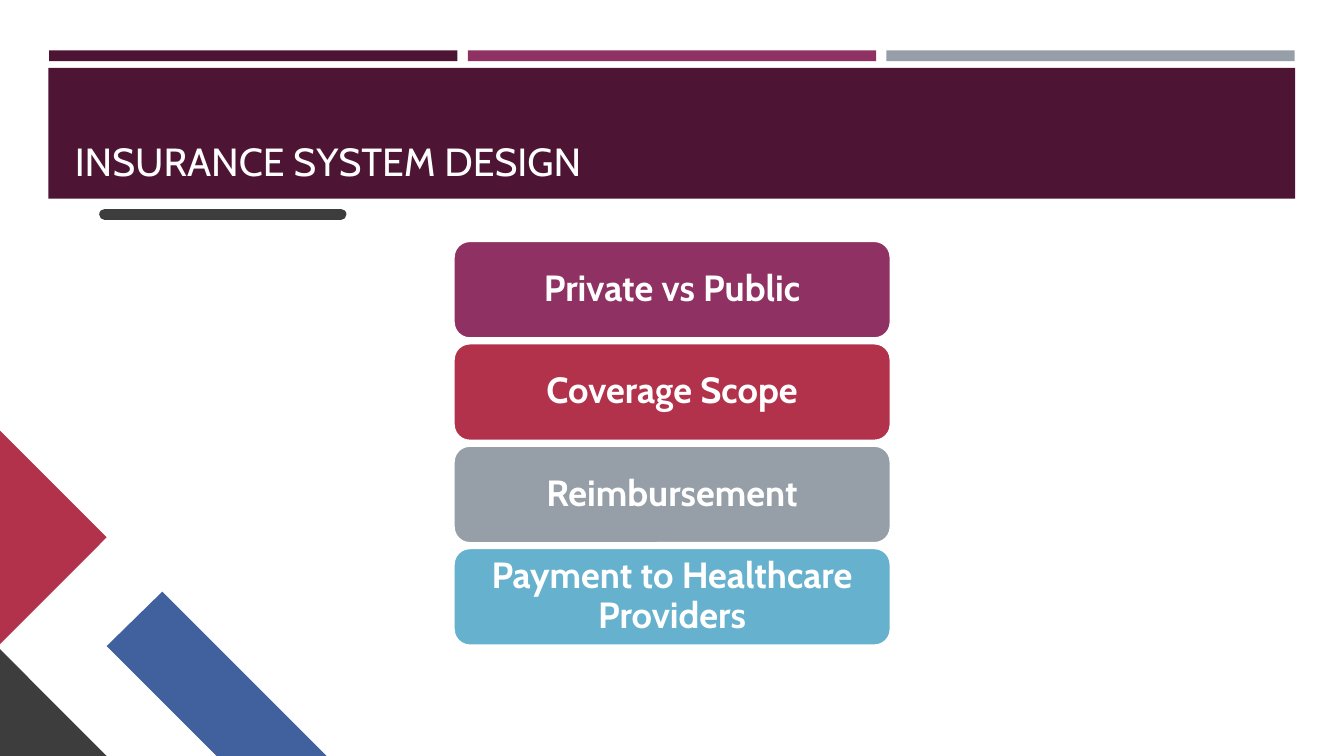
from dataclasses import dataclass

import pptx
import pptx.dml.color
import pptx.enum.shapes
import pptx.enum.text
import pptx.oxml
import pptx.oxml.ns
import pptx.util

Cm = pptx.util.Cm
Pt = pptx.util.Pt
PRESET = pptx.enum.shapes.MSO_SHAPE
ANCHOR = pptx.enum.text.MSO_ANCHOR
ALIGN = pptx.enum.text.PP_ALIGN


@dataclass(frozen=True)
class Theme:
    font: str = "Cabin"
    title_size: int = 28
    card_size: int = 26
    white: str = "FFFFFF"
    title_white: str = "FFFEFF"
    plum: str = "4D1434"
    magenta: str = "903163"
    red: str = "B2324B"
    grey: str = "969FA7"
    sky: str = "66B1CE"
    blue: str = "40619D"
    charcoal: str = "3D3D3D"


THEME = Theme()


def rgb(color):
    return pptx.dml.color.RGBColor.from_string(color)


def paint(shape, color):
    """Give a flat fill with no outline and no shadow."""
    shape.shadow.inherit = False
    shape.fill.solid()
    shape.fill.fore_color.rgb = rgb(color)
    shape.line.fill.background()


def add_block(slide, preset, left, top, width, height, color):
    block = slide.shapes.add_shape(preset, Cm(left), Cm(top), Cm(width), Cm(height))
    paint(block, color)
    return block


def add_polygon(slide, points, color):
    start, *rest = [(Cm(x), Cm(y)) for x, y in points]
    outline = slide.shapes.build_freeform(*start)
    outline.add_line_segments(rest, close=True)
    paint(outline.convert_to_shape(), color)


def add_round_rule(slide, left, right, y, color, weight):
    rule = slide.shapes.add_connector(
        pptx.enum.shapes.MSO_CONNECTOR.STRAIGHT, Cm(left), Cm(y), Cm(right), Cm(y))
    rule.line.color.rgb = rgb(color)
    rule.line.width = Pt(weight)
    properties = rule._element.spPr
    properties.find(pptx.oxml.ns.qn("a:ln")).set("cap", "rnd")
    properties.append(pptx.oxml.parse_xml(
        f'<a:effectLst {pptx.oxml.ns.nsdecls("a")}/>'))


def add_run(paragraph, text, size, color, bold=False):
    run = paragraph.add_run()
    run.text = text
    run.font.name = THEME.font
    run.font.size = Pt(size)
    run.font.bold = bold
    run.font.color.rgb = rgb(color)


def add_card(slide, top, label, color):
    card = add_block(slide, PRESET.ROUNDED_RECTANGLE, 11.43, top, 11.02, 2.46, color)
    card.line.color.rgb = rgb(THEME.white)
    card.line.width = Pt(1.75)
    frame = card.text_frame
    frame.word_wrap = True
    frame.vertical_anchor = ANCHOR.MIDDLE
    frame.margin_left = frame.margin_right = Cm(0.4)
    frame.margin_top = frame.margin_bottom = Cm(0.25)
    paragraph = frame.paragraphs[0]
    paragraph.alignment = ALIGN.CENTER
    paragraph.line_spacing = 0.9
    add_run(paragraph, label, THEME.card_size, THEME.white, bold=True)


def set_title(slide):
    title = slide.shapes.title
    title.left, title.top = Cm(1.63), Cm(1.96)
    title.width, title.height = Cm(30.63), Cm(2.82)
    title.text_frame.vertical_anchor = ANCHOR.BOTTOM
    title.text_frame.word_wrap = True
    paragraph = title.text_frame.paragraphs[0]
    paragraph.alignment = ALIGN.LEFT
    add_run(paragraph, "INSURANCE SYSTEM ", THEME.title_size, THEME.title_white)
    add_run(paragraph, "DESIGN", THEME.title_size, THEME.white)
    # The title must lie in front of the band.
    slide.shapes._spTree.append(title._element)


def add_corner_decoration(slide):
    add_polygon(slide, [(8.23, 19.05), (5.46, 19.05), (2.69, 16.28), (4.09, 14.91)],
                THEME.blue)
    add_polygon(slide, [(2.69, 19.05), (0, 19.05), (0, 16.36)], THEME.charcoal)
    add_polygon(slide, [(0, 10.85), (2.69, 13.54), (0, 16.23)], THEME.red)


def add_header(slide):
    for column, color in enumerate([THEME.plum, THEME.magenta, THEME.grey]):
        add_block(slide, PRESET.RECTANGLE, 1.24 + 10.55 * column, 1.27, 10.29, 0.27, color)
    add_block(slide, PRESET.RECTANGLE, 1.22, 1.71, 31.42, 3.3, THEME.plum)
    set_title(slide)


def main():
    deck = pptx.Presentation()
    deck.slide_width, deck.slide_height = Cm(33.87), Cm(19.05)
    slide = deck.slides.add_slide(deck.slide_layouts.get_by_name("Title Only"))

    add_corner_decoration(slide)
    add_round_rule(slide, 2.64, 8.59, 5.4, THEME.charcoal, 8)
    add_header(slide)

    topics = [
        ("Private vs Public", THEME.magenta),
        ("Coverage Scope", THEME.red),
        ("Reimbursement", THEME.grey),
        ("Payment to Healthcare Providers", THEME.sky),
    ]
    for row, (label, color) in enumerate(topics):
        add_card(slide, 6.07 + 2.58 * row, label, color)

    deck.save("out.pptx")


if __name__ == "__main__":
    main()
